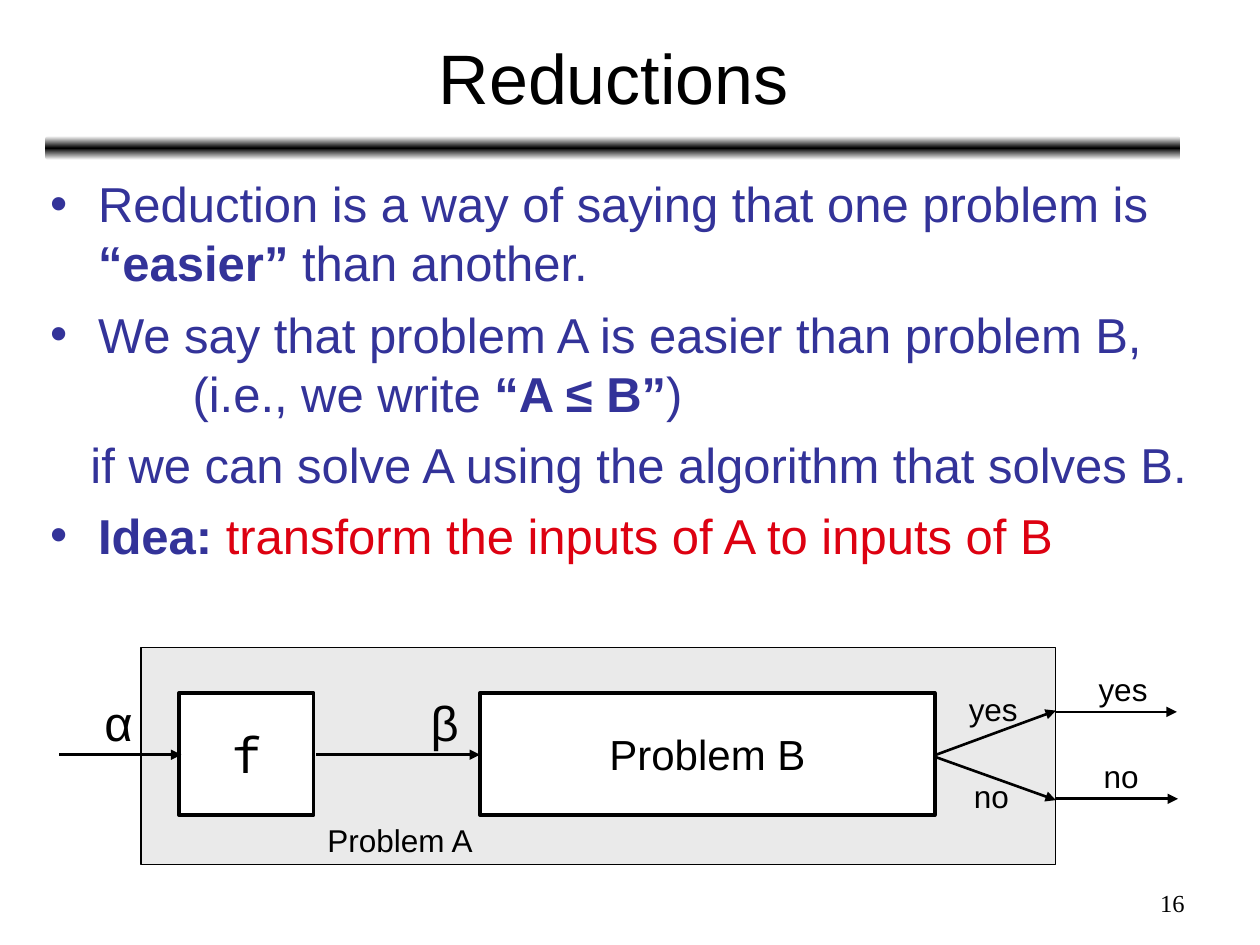
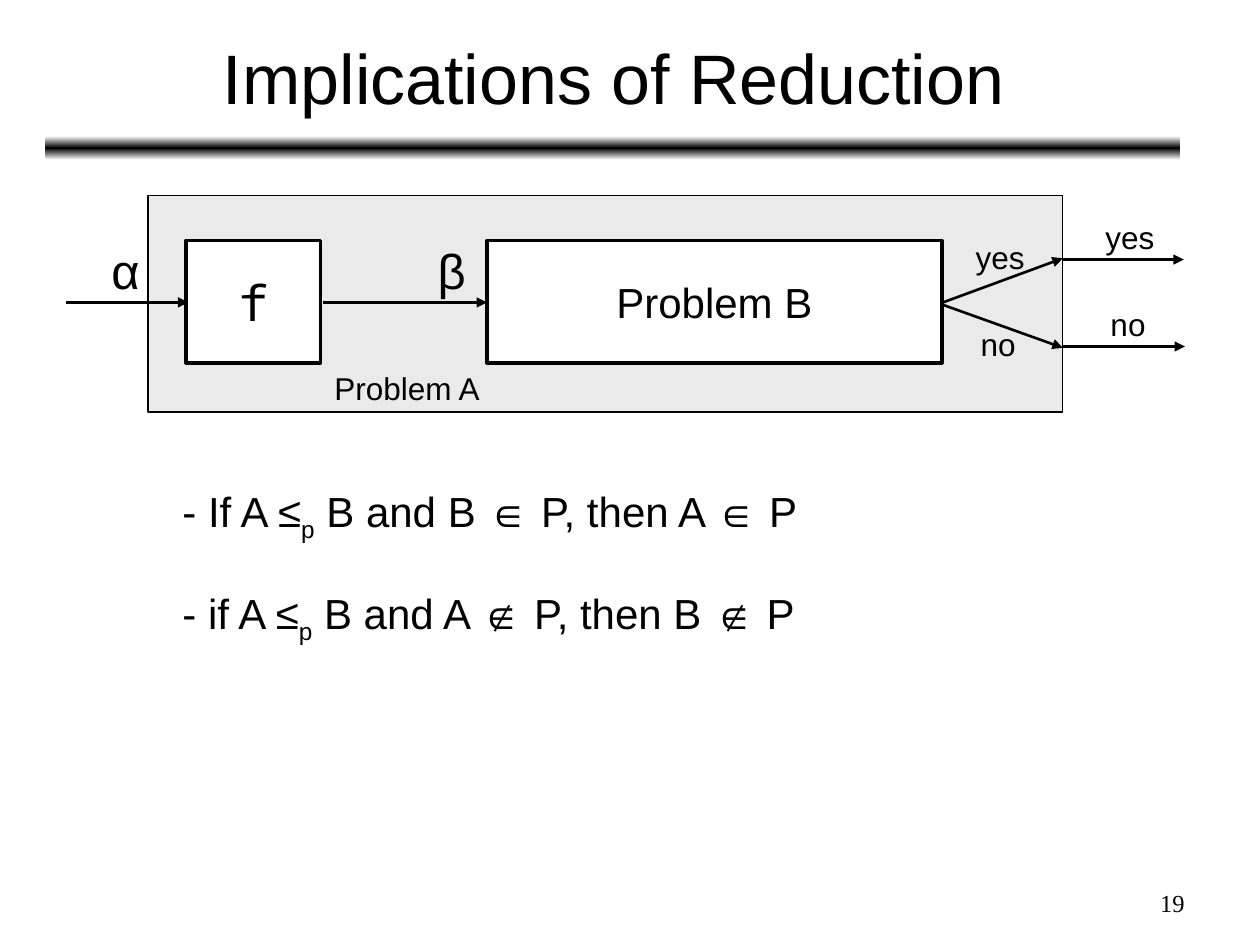
import copy

import pptx
import pptx.dml.color
import pptx.enum.shapes
import pptx.enum.text
import pptx.oxml
import pptx.oxml.ns
import pptx.util

COLORS = {
    "ink": "000000",
    "paper": "FFFFFF",
    "panel": "EAEAEA",
    "body": "333399",
    "accent": "DD0111",
}
ALIGN = pptx.enum.text.PP_ALIGN
ANCHOR = pptx.enum.text.MSO_ANCHOR
SHAPE = pptx.enum.shapes.MSO_SHAPE
COLUMNS, ROWS = 100, 75


def rgb(name):
    return pptx.dml.color.RGBColor.from_string(COLORS[name])


def append_xml(parent, tag, **attributes):
    element = pptx.oxml.parse_xml(f"<{tag} {pptx.oxml.ns.nsdecls('a')}/>")
    for key, value in attributes.items():
        element.set(key, value)
    parent.append(element)
    return element


def write(text_frame, text, size=18, font="Arial", color="ink", align=ALIGN.LEFT,
          margin=0, hanging=0, before=0, line=None, bullet=None):
    paragraph = text_frame.paragraphs[0]
    if paragraph.runs:
        paragraph = text_frame.add_paragraph()
    paragraph.alignment = align
    paragraph.space_before = pptx.util.Pt(before)
    if line:
        paragraph.line_spacing = pptx.util.Pt(line)
    properties = paragraph._p.get_or_add_pPr()
    properties.set("marL", str(pptx.util.Inches(margin)))
    properties.set("indent", str(pptx.util.Inches(-hanging)))
    if bullet:
        bullet_color = append_xml(properties, "a:buClr")
        append_xml(bullet_color, "a:srgbClr", val=COLORS[color])
        append_xml(properties, "a:buFont", typeface=font)
        append_xml(properties, "a:buChar", char=bullet)
    pieces = [(text, {})] if isinstance(text, str) else text
    for content, style in pieces:
        run = paragraph.add_run()
        run.text = content
        run.font.size = pptx.util.Pt(size)
        run.font.name = font
        run.font.bold = style.get("bold", False)
        run.font.color.rgb = rgb(style.get("color", color))
        if "baseline" in style:
            run._r.get_or_add_rPr().set("baseline", str(style["baseline"]))


class Deck:
    def __init__(self):
        self.presentation = pptx.Presentation()
        self.presentation.slide_width = pptx.util.Inches(10)
        self.presentation.slide_height = pptx.util.Inches(7.5)
        self.slide = None

    def x(self, columns):
        return round(self.presentation.slide_width * columns / COLUMNS)

    def y(self, rows):
        return round(self.presentation.slide_height * rows / ROWS)

    def area(self, left, top, width, height):
        return self.x(left), self.y(top), self.x(width), self.y(height)

    def start(self, title, number):
        layout = self.presentation.slide_layouts[5]
        self.slide = self.presentation.slides.add_slide(layout)
        self.band(3.6, 10.8, 90.1, 1.9)
        shape = self.slide.shapes.title
        shape.left, shape.top, shape.width, shape.height = self.area(3.7, 1.1, 90, 9.9)
        shape.text_frame.vertical_anchor = ANCHOR.MIDDLE
        write(shape.text_frame, title, size=40, align=ALIGN.CENTER)
        write(self.text_box(71.7, 70, 23.3, 3.5), number, size=14,
              font="Times New Roman", align=ALIGN.RIGHT)

    def band(self, *area):
        shape = self.slide.shapes.add_shape(SHAPE.ROUNDED_RECTANGLE, *self.area(*area))
        shape.shadow.inherit = False
        shape.line.fill.background()
        shape.fill.gradient()
        shape.fill.gradient_angle = 90
        stops = shape._element.spPr.find(".//" + pptx.oxml.ns.qn("a:gsLst"))
        stops.append(copy.deepcopy(stops[0]))
        for index, color in enumerate(("paper", "ink", "paper")):
            stop = shape.fill.gradient_stops[index]
            stop.position = index / 2
            stop.color.rgb = rgb(color)

    def text_box(self, left, top, width, height, wrap=True):
        text_frame = self.slide.shapes.add_textbox(
            *self.area(left, top, width, height)).text_frame
        text_frame.word_wrap = wrap
        return text_frame

    def label(self, text, left, top, width, height=4, **style):
        write(self.text_box(left, top, width, height, wrap=False), text, **style)

    def box(self, left, top, width, height, fill="paper", line=2, text=None, **style):
        shape = self.slide.shapes.add_shape(
            SHAPE.RECTANGLE, *self.area(left, top, width, height))
        shape.shadow.inherit = False
        shape.fill.solid()
        shape.fill.fore_color.rgb = rgb(fill)
        shape.line.color.rgb = rgb("ink")
        shape.line.width = pptx.util.Pt(line)
        if text:
            shape.text_frame.word_wrap = False
            shape.text_frame.vertical_anchor = ANCHOR.MIDDLE
            write(shape.text_frame, text, align=ALIGN.CENTER, **style)

    def arrow(self, start_x, start_y, end_x, end_y):
        connector = self.slide.shapes.add_connector(
            pptx.enum.shapes.MSO_CONNECTOR.STRAIGHT,
            self.x(start_x), self.y(start_y), self.x(end_x), self.y(end_y))
        connector.line.color.rgb = rgb("ink")
        connector.line.width = pptx.util.Pt(1.5)
        append_xml(connector.line._get_or_add_ln(), "a:tailEnd", type="triangle")
        append_xml(connector._element.spPr, "a:effectLst")

    def reduction_diagram(self, left, top):
        self.box(left, top, 72.6, 17.2, fill="panel", line=0.75)
        self.box(left + 3, top + 3.6, 10.7, 9.7, text="f", size=28, font="Noto Sans Mono")
        self.box(left + 26.9, top + 3.6, 36.1, 9.7, text="Problem B", size=24)
        for start_x, start_y, end_x, end_y in (
            (-6.5, 8.5, 3.2, 8.5),
            (13.9, 8.5, 26.9, 8.5),
            (63.1, 8.5, 72.6, 5),
            (63.1, 8.7, 72.6, 12.1),
            (72.5, 5.1, 82.2, 5.1),
            (72.6, 12, 82.3, 12),
        ):
            self.arrow(left + start_x, top + start_y, left + end_x, top + end_y)
        for symbol, offset in (("α", -3.9), ("β", 22)):
            self.label(symbol, left + offset, top + 3.1, 4.4, 5.7, size=28)
        for shift_x, shift_y in ((0, 0), (10.3, -1.6)):
            self.label("yes", left + 64.7 + shift_x, top + 2.9 + shift_y, 5.9)
            self.label("no", left + 65.1 + shift_x, top + 9.8 + shift_y, 4.8)
        self.label("Problem A", left + 13.8, top + 13.3, 13.6)


def reductions(deck):
    deck.start("Reductions", "16")
    text_frame = deck.text_box(3, 13.3, 95, 36)
    style = {"size": 28, "color": "body", "line": 33.7}
    bulleted = {**style, "margin": 0.38, "hanging": 0.38, "bullet": "•"}
    bold = {"bold": True}
    write(text_frame, [("Reduction is a way of saying that one problem is ", {}),
                       ("“easier”", bold), (" than another.", {})], **bulleted)
    write(text_frame, "We say that problem A is easier than problem B,", before=7, **bulleted)
    write(text_frame, [("(i.e., we write ", {}), ("“A ≤ B”", bold), (")", {})],
          margin=1.13, **style)
    write(text_frame, "if we can solve A using the algorithm that solves B.",
          margin=0.32, before=7, **style)
    write(text_frame, [("Idea: ", bold),
                       ("transform the inputs of A to inputs of B", {"color": "accent"})],
          before=7, **bulleted)
    deck.reduction_diagram(11.2, 51.4)


def implications(deck):
    deck.start("Implications of Reduction", "19")
    text_frame = deck.text_box(3.8, 37.9, 90, 16)
    for opening, conclusion in (
        ("- If A ≤", " B and B ∈ P, then A ∈ P"),
        ("- if A ≤", " B and A ∉ P, then B ∉ P"),
    ):
        write(text_frame, [(opening, {}), ("p", {"baseline": -25000}), (conclusion, {})],
              size=24, margin=0.97, line=34, before=24.3 if text_frame.text else 0)
    deck.reduction_diagram(11.75, 15.5)


def main():
    deck = Deck()
    reductions(deck)
    implications(deck)
    deck.presentation.save("out.pptx")


if __name__ == "__main__":
    main()
